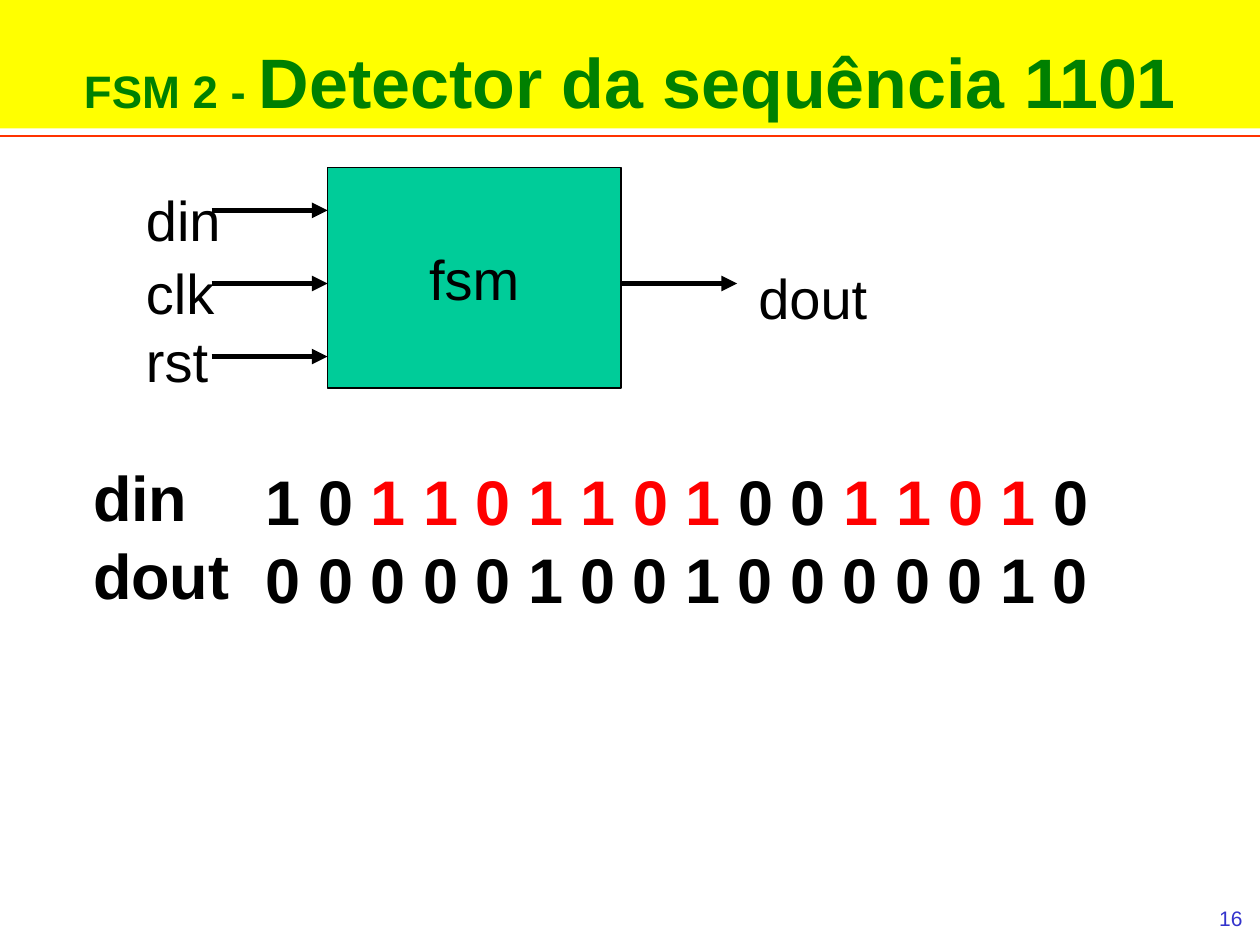
from lxml import etree
from pptx import Presentation
from pptx.dml.color import RGBColor
from pptx.enum.shapes import MSO_CONNECTOR, MSO_SHAPE
from pptx.enum.text import MSO_ANCHOR, PP_ALIGN
from pptx.oxml.ns import qn
from pptx.util import Inches, Pt

STRAIGHT, RECTANGLE = MSO_CONNECTOR.STRAIGHT, MSO_SHAPE.RECTANGLE
LEFT, CENTER, RIGHT = PP_ALIGN.LEFT, PP_ALIGN.CENTER, PP_ALIGN.RIGHT
TOP, MIDDLE, BOTTOM = MSO_ANCHOR.TOP, MSO_ANCHOR.MIDDLE, MSO_ANCHOR.BOTTOM

BLACK, RED, GREEN = "000000", "FF0000", "008000"
YELLOW, TEAL, BLUE, ORANGE = "FFFF00", "00CC99", "3333CC", "FF3300"

# Runs are (text, colour, size)
TITLE = [("FSM 2 - ", GREEN, 26), ("Detector da sequência 1101", GREEN, 40)]
SIGNAL_NAMES = ["din", "dout"]
DIN_BITS = [("1 0 ", BLACK), ("1 1 0 1 1 0 1 ", RED), ("0 0 ", BLACK),
            ("1 1 0 1 ", RED), ("0", BLACK)]
DOUT_BITS = "0 0 0 0 0 1 0 0 1 0 0 0 0 0 1 0"
PORT_LABELS = [  # text, left, top, width
    ("din", 1.06, 1.42, 0.8),
    ("clk", 1.06, 2.0, 0.75),
    ("rst", 1.06, 2.54, 0.7),
    ("dout", 5.92, 2.04, 1.07),
]

BLOCK_LEFT, BLOCK_TOP, BLOCK_WIDTH, BLOCK_HEIGHT = 2.6, 1.33, 2.33, 1.75
BLOCK_RIGHT = BLOCK_LEFT + BLOCK_WIDTH
ARROW_LENGTH, FIRST_ARROW_Y, ARROW_GAP = 0.92, 1.67, 0.58


def rgb(value):
    return RGBColor.from_string(value)


def write(shape, paragraphs, bold=False, align=LEFT, anchor=TOP,
          wrap=False, space_before=0):
    """Fill a shape with paragraphs, each a list of (text, colour, size) runs."""
    frame = shape.text_frame
    frame.word_wrap = wrap
    frame.vertical_anchor = anchor
    for index, runs in enumerate(paragraphs):
        paragraph = frame.add_paragraph() if index else frame.paragraphs[0]
        paragraph.alignment = align
        paragraph.space_before = Pt(space_before if index else 0)
        paragraph.font.name = "Arial"
        paragraph.font.bold = bold
        for text, colour, size in runs:
            run = paragraph.add_run()
            run.text = text
            run.font.size = Pt(size)
            run.font.color.rgb = rgb(colour)


def add_text(slide, box, paragraphs, **style):
    textbox = slide.shapes.add_textbox(*map(Inches, box))
    write(textbox, paragraphs, **style)


def add_line(slide, start_x, end_x, y, colour, width, arrow=False):
    line = slide.shapes.add_connector(
        STRAIGHT, *map(Inches, (start_x, y, end_x, y)))
    line.line.color.rgb = rgb(colour)
    line.line.width = Pt(width)
    if arrow:
        outline = line.line._get_or_add_ln()
        etree.SubElement(outline, qn("a:tailEnd"), type="triangle")
    etree.SubElement(line._element.spPr, qn("a:effectLst"))


def add_title(slide):
    title = slide.shapes.title
    title.left, title.top, title.width, title.height = map(
        Inches, (0, -0.09, 10, 1.11))
    title.fill.solid()
    title.fill.fore_color.rgb = rgb(YELLOW)
    write(title, [TITLE], bold=True, align=CENTER, anchor=BOTTOM, wrap=True)
    add_line(slide, 0, 10, 1.08, ORANGE, 1)


def add_block_diagram(slide):
    block = slide.shapes.add_shape(RECTANGLE, *map(
        Inches, (BLOCK_LEFT, BLOCK_TOP, BLOCK_WIDTH, BLOCK_HEIGHT)))
    block.shadow.inherit = False
    block.fill.solid()
    block.fill.fore_color.rgb = rgb(TEAL)
    block.line.color.rgb = rgb(BLACK)
    block.line.width = Pt(0.75)
    write(block, [[("fsm", BLACK, 32)]], align=CENTER, anchor=MIDDLE)

    arrow_ys = [FIRST_ARROW_Y + row * ARROW_GAP for row in range(3)]
    arrows = [(BLOCK_LEFT - ARROW_LENGTH, y) for y in arrow_ys]
    arrows.append((BLOCK_RIGHT, arrow_ys[1]))
    for start_x, y in arrows:
        add_line(slide, start_x, start_x + ARROW_LENGTH, y, BLACK, 3, arrow=True)
    for label, left, top, width in PORT_LABELS:
        add_text(slide, (left, top, width, 0.64), [[(label, BLACK, 32)]])


def add_sequences(slide):
    names = [[(name, BLACK, 36)] for name in SIGNAL_NAMES]
    bits = [[(text, colour, 36) for text, colour in DIN_BITS],
            [(DOUT_BITS, BLACK, 36)]]
    add_text(slide, (0.64, 3.59, 1.3, 1.31), names, bold=True, space_before=1.5)
    add_text(slide, (2.01, 3.62, 6.79, 1.31), bits, bold=True, space_before=1.5)


def main():
    presentation = Presentation()
    presentation.slide_width, presentation.slide_height = Inches(10), Inches(7.5)
    slide = presentation.slides.add_slide(presentation.slide_layouts[5])
    add_title(slide)
    add_block_diagram(slide)
    add_sequences(slide)
    add_text(slide, (7.63, 7.14, 2.33, 0.5), [[("16", BLUE, 12)]],
             align=RIGHT, wrap=True)
    presentation.save("out.pptx")


if __name__ == "__main__":
    main()
